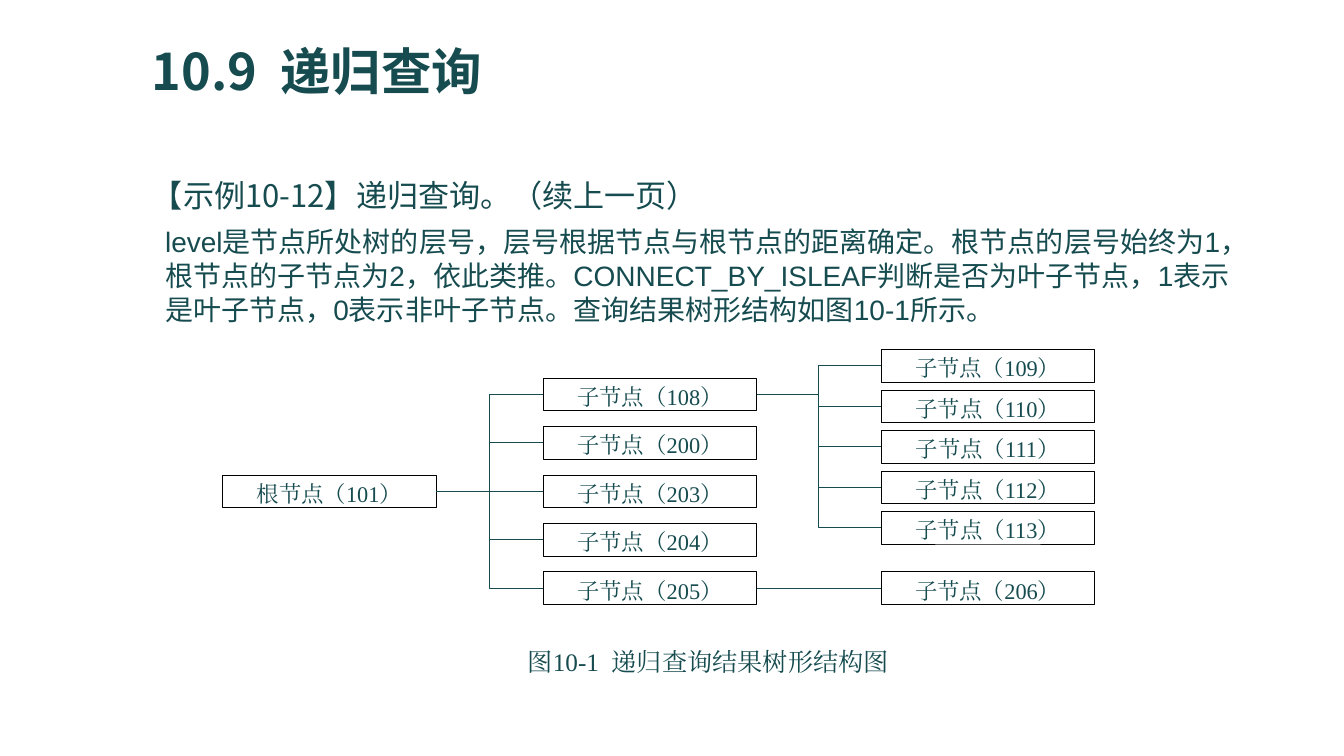
"""Build the slide on recursive queries with its result tree."""
from lxml.etree import SubElement
from pptx import Presentation
from pptx.dml.color import RGBColor
from pptx.enum.shapes import MSO_CONNECTOR, MSO_SHAPE
from pptx.enum.text import MSO_ANCHOR, PP_ALIGN
from pptx.oxml.ns import qn
from pptx.util import Cm, Pt

TEAL = RGBColor(0x16, 0x4B, 0x4F)
BLACK = RGBColor(0, 0, 0)
WHITE = RGBColor(0xFF, 0xFF, 0xFF)
SANS, BODY, SERIF = "Noto Sans CJK SC", "Arial", "Times New Roman"

NODE_W, NODE_H = 5.38, 0.82
ROOT_X, CHILD_X, LEAF_X = 5.61, 13.69, 22.2
CHILD_TOP, CHILD_STEP = 9.53, 1.22
LEAF_TOP, LEAF_STEP = 8.81, 1.02


class TreeSlide:
    """Hold the slide and the style of its text, nodes and links."""

    def __init__(self, prs):
        self.s = prs.slides.add_slide(prs.slide_layouts[6])
        self.color = TEAL
        self.line_width = Pt(0.5)

    def fill_text(self, tf, text, size, font, bold=False, align=PP_ALIGN.LEFT):
        """Fill a text frame with one styled paragraph."""
        tf.word_wrap = True
        p = tf.paragraphs[0]
        p.text = text
        p.alignment = align
        p.font.size = Pt(size)
        p.font.bold = bold
        p.font.name = font
        p.font.color.rgb = self.color
        props = p._p.pPr.find(qn("a:defRPr"))
        SubElement(props, qn("a:ea")).set("typeface", font)
        return p

    def text(self, x, y, w, h, text, size, font, **style):
        """Add a text box and return its paragraph."""
        sp = self.s.shapes.add_textbox(Cm(x), Cm(y), Cm(w), Cm(h))
        return self.fill_text(sp.text_frame, text, size, font, **style)

    def node(self, x, y, text):
        """Add a tree node."""
        sp = self.s.shapes.add_shape(
            MSO_SHAPE.RECTANGLE, Cm(x), Cm(y), Cm(NODE_W), Cm(NODE_H))
        sp.shadow.inherit = False
        sp.fill.solid()
        sp.fill.fore_color.rgb = WHITE
        sp.line.color.rgb = BLACK
        sp.line.width = self.line_width
        tf = sp.text_frame
        tf.margin_top, tf.margin_bottom = Cm(0.1), 0
        tf.vertical_anchor = MSO_ANCHOR.MIDDLE
        self.fill_text(tf, text, 16, SERIF, align=PP_ALIGN.CENTER)
        return sp

    def link(self, parent, child):
        """Join the right side of a parent to the left side of a child."""
        level = parent.top == child.top
        kind = MSO_CONNECTOR.STRAIGHT if level else MSO_CONNECTOR.ELBOW
        line = self.s.shapes.add_connector(kind, 0, 0, 0, 0)
        line.begin_connect(parent, 3)
        line.end_connect(child, 1)
        line.line.color.rgb = self.color
        line.line.width = self.line_width
        SubElement(line._element.spPr, qn("a:effectLst"))

    def branch(self, parent, x, top, step, numbers):
        """Add a column of child nodes linked to their parent."""
        nodes = [self.node(x, top + i * step, f"子节点（{n}）")
                 for i, n in enumerate(numbers)]
        for child in nodes:
            self.link(parent, child)
        return nodes


def main():
    """Compose and save the slide."""
    prs = Presentation()
    prs.slide_width, prs.slide_height = Cm(33.87), Cm(19.05)
    slide = TreeSlide(prs)

    title = slide.text(3.58, 1.07, 26.67, 3.18, "10.9  递归查询", 36, SANS, bold=True)
    title.line_spacing = 0.9
    slide.text(3.58, 4.32, 28.14, 1.19, "【示例10-12】递归查询。（续上一页）", 22.2, SANS)
    slide.text(3.91, 5.54, 27.81, 2.82,
               "level是节点所处树的层号，层号根据节点与根节点的距离确定。"
               "根节点的层号始终为1，根节点的子节点为2，依此类推。"
               "CONNECT_BY_ISLEAF判断是否为叶子节点，1表示是叶子节点，"
               "0表示非叶子节点。查询结果树形结构如图10-1所示。", 20, BODY)

    root = slide.node(ROOT_X, CHILD_TOP + 2 * CHILD_STEP, "根节点（101）")
    children = slide.branch(root, CHILD_X, CHILD_TOP, CHILD_STEP,
                            (108, 200, 203, 204, 205))
    slide.branch(children[0], LEAF_X, LEAF_TOP, LEAF_STEP, range(109, 114))
    slide.branch(children[-1], LEAF_X, CHILD_TOP + 4 * CHILD_STEP, 0, (206,))

    slide.text(12.25, 16.15, 11.2, 1, "图10-1  递归查询结果树形结构图", 18, SERIF,
               align=PP_ALIGN.CENTER)
    prs.save("out.pptx")


if __name__ == "__main__":
    main()
